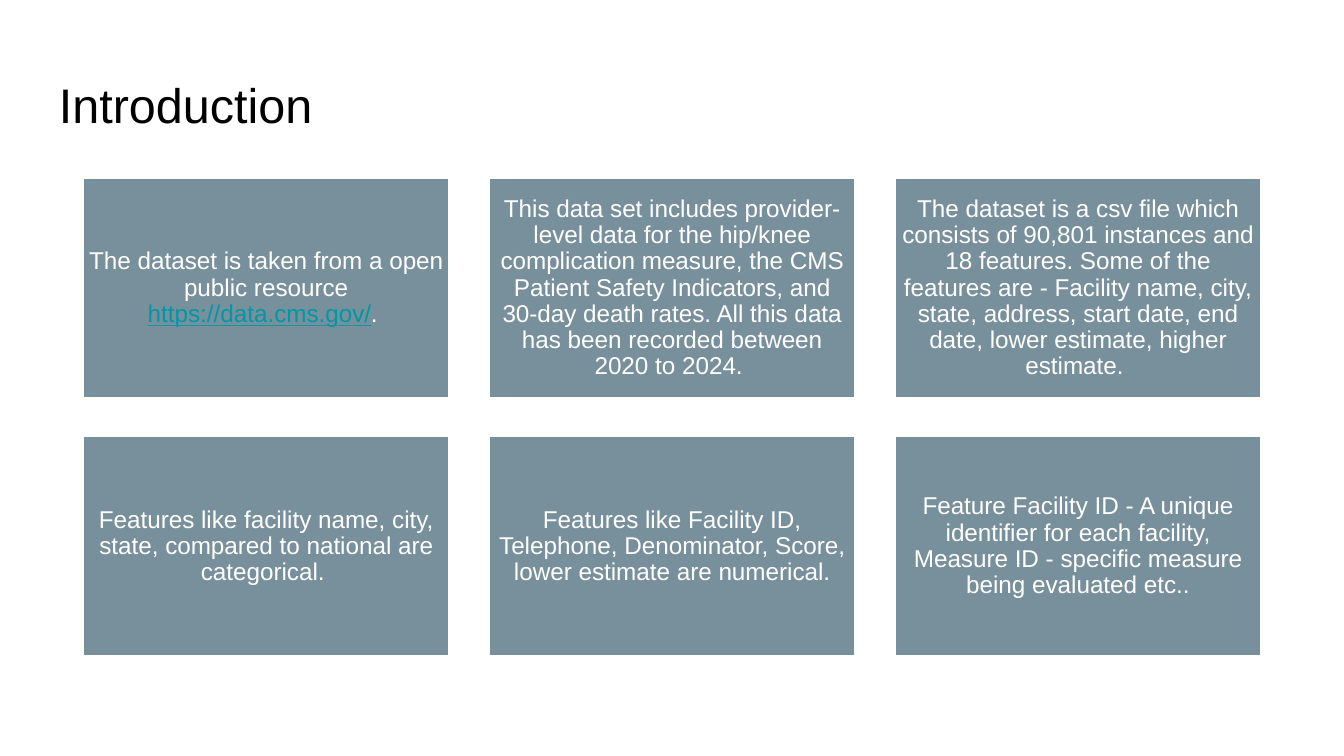
import pptx
import pptx.dml.color
import pptx.enum.shapes
import pptx.enum.text
import pptx.util
from pptx.util import Inches

WHITE, SLATE, TEAL, BLACK = "FFFFFF", "78909C", "0097A7", "000000"


def color(hex_string):
    return pptx.dml.color.RGBColor.from_string(hex_string)


def write_text(shape, spans, size=13, align="LEFT", inset=0.05):
    """Fill a shape with one paragraph of (text, colour, underline) spans."""
    frame = shape.text_frame
    frame.word_wrap = True
    frame.vertical_anchor = pptx.enum.text.MSO_ANCHOR.MIDDLE
    frame.margin_left = frame.margin_right = Inches(inset)
    frame.margin_top = frame.margin_bottom = Inches(inset)
    para = frame.paragraphs[0]
    para.alignment = getattr(pptx.enum.text.PP_ALIGN, align)
    para.line_spacing = 0.9
    for text, hex_string, underline in spans:
        span = para.add_run()
        span.text = text
        span.font.name = "Arial"
        span.font.size = pptx.util.Pt(size)
        span.font.color.rgb = color(hex_string)
        span.font.underline = underline


# Widescreen page, 16:9
deck = pptx.Presentation()
deck.slide_width = Inches(10)
deck.slide_height = Inches(10 * 9 / 16)
page = deck.slides.add_slide(deck.slide_layouts[6])

# Title
title = page.shapes.add_textbox(Inches(0.34), Inches(0.49), Inches(9.32), Inches(0.63))
write_text(title, [("Introduction", BLACK, False)], size=26, inset=0.1)

# Cards, row by row
cards = [
    [("The dataset is taken from a open public resource ", WHITE, False),
     ("https://data.cms.gov/", TEAL, True),
     (". ", WHITE, False)],
    [("This data set includes provider-level data for the hip/knee complication "
      "measure, the CMS Patient Safety Indicators, and 30-day death rates. All this "
      "data has been recorded between 2020 to 2024. ", WHITE, False)],
    [("The dataset is a csv file which consists of 90,801 instances and 18 features. "
      "Some of the features are - Facility name, city, state, address, start date, "
      "end date, lower estimate, higher estimate. ", WHITE, False)],
    [("Features like facility name, city, state, compared to national are "
      "categorical. ", WHITE, False)],
    [("Features like Facility ID, Telephone, Denominator, Score, lower estimate are "
      "numerical.", WHITE, False)],
    [("Feature Facility ID - A unique identifier for each facility, Measure ID - "
      "specific measure being evaluated etc..", WHITE, False)],
]
columns = 3
card_width, card_height = 2.74, 1.65
column_step, row_step = 3.02, 1.92

for index, spans in enumerate(cards):
    row, column = divmod(index, columns)
    card = page.shapes.add_shape(
        pptx.enum.shapes.MSO_SHAPE.RECTANGLE,
        Inches(0.61 + column * column_step), Inches(1.32 + row * row_step),
        Inches(card_width), Inches(card_height))
    card.shadow.inherit = False
    card.fill.solid()
    card.fill.fore_color.rgb = color(SLATE)
    card.line.color.rgb = color(WHITE)
    card.line.width = pptx.util.Pt(2)
    write_text(card, spans, align="CENTER")

deck.save("out.pptx")
